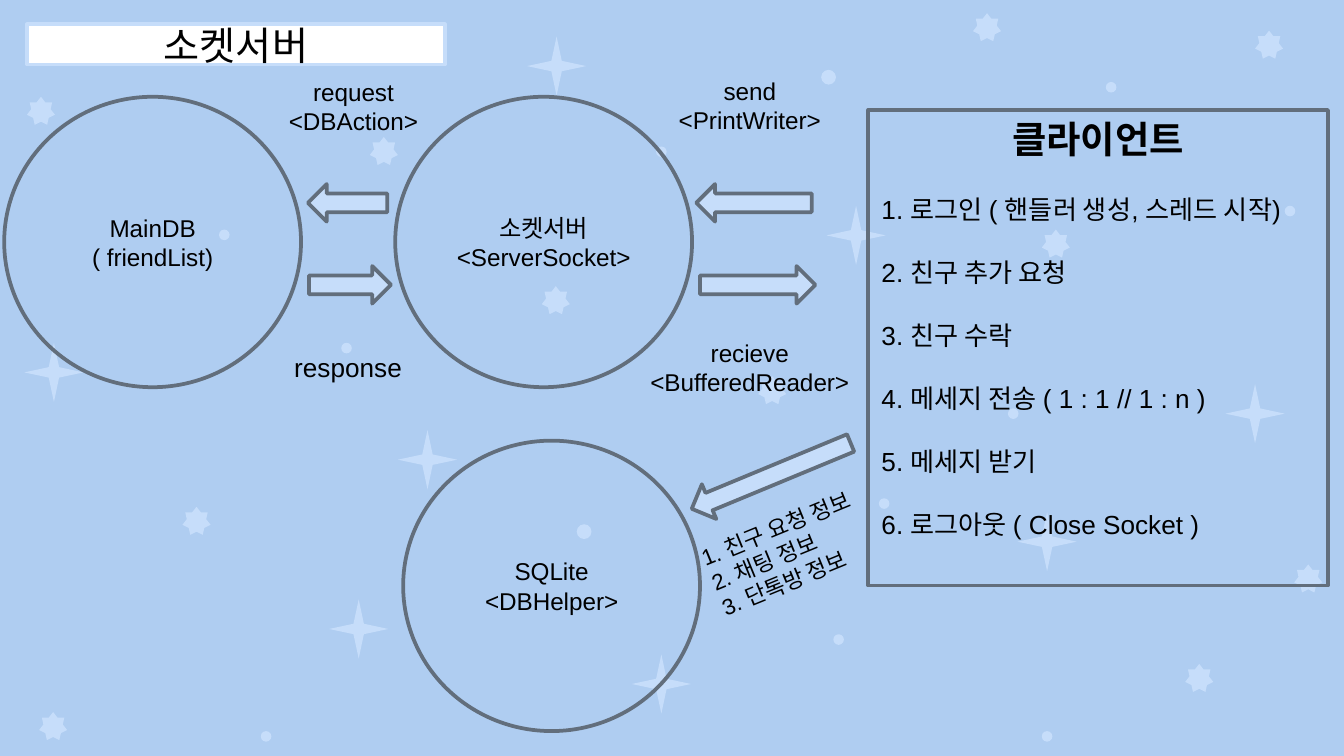
from pptx import Presentation
from pptx.dml.color import RGBColor
from pptx.enum.shapes import MSO_SHAPE as Shape
from pptx.enum.text import MSO_ANCHOR as Anchor, MSO_AUTO_SIZE as AutoSize, PP_ALIGN as Align
from pptx.util import Cm, Pt

COLORS = {"sky": "AFCDF1", "pale": "C6DDFA", "slate": "626E7C", "ink": "000000", "white": "FFFFFF"}
FONT = "Arial"
CIRCLE_SIZE = (5.61, 5.49)
LABEL_SIZE = (5.38, 1.55)
ARROW_HEIGHT = 0.71

DECORATIONS = [
    (Shape.STAR_7_POINT, 0.53, [
        (6.99, 2.59), (0.51, 1.83), (3.45, 9.58), (24.46, 10.67), (0.74, 13.46), (10.24, 5.41),
        (18.39, 0.25), (19.69, 4.34), (14.33, 7.11), (23.72, 0.58), (22.4, 12.55)]),
    (Shape.STAR_4_POINT, 1.12, [
        (9.96, 0.69), (19.23, 9.68), (6.22, 11.33), (0.46, 6.48),
        (23.16, 7.26), (15.62, 3.89), (11.94, 12.37), (7.52, 8.13)]),
    (Shape.OVAL, 0.2, [
        (19.69, 13.82), (4.93, 13.82), (12.4, 2.77), (4.14, 4.34), (15.75, 11.99),
        (20.9, 1.55), (19.05, 7.72), (24.28, 3.89), (6.45, 6.48), (16.61, 9.42)]),
    (Shape.OVAL, 0.28, [(15.52, 1.32), (10.9, 9.91)]),
]
CIRCLES = [
    (7.47, 1.83, ["소켓서버", "<ServerSocket>"]),
    (0.08, 1.83, ["MainDB", "( friendList)"]),
    (7.62, 8.33, ["SQLite", "<DBHelper>"]),
]
ARROWS = [
    (Shape.RIGHT_ARROW, 5.84, 5.03, 1.55, 0),
    (Shape.RIGHT_ARROW, 13.23, 5.03, 2.18, 0),
    (Shape.LEFT_ARROW, 5.82, 3.48, 1.5, 0),
    (Shape.LEFT_ARROW, 13.16, 3.48, 2.18, 0),
    (Shape.LEFT_ARROW, 12.95, 8.64, 3.25, 337.5),
]
LABELS = [
    (3.99, 1.24, ["request", "<DBAction>"], {}),
    (11.48, 1.22, ["send", "<PrintWriter>"], {}),
    (3.89, 6.17, ["response"], {"size": 14}),
    (11.48, 6.17, ["recieve", "<BufferedReader>"], {}),
]
STORED_DATA = ["1. 친구 요청 정보", "2. 채팅 정보", "3. 단톡방 정보"]
CLIENT_STEPS = [
    "1. 로그인 ( 핸들러 생성, 스레드 시작)",
    "2. 친구 추가 요청",
    "3. 친구 수락",
    "4. 메세지 전송 ( 1 : 1 // 1 : n )",
    "5. 메세지 받기",
    "6. 로그아웃 ( Close Socket )",
]


def color(name):
    return RGBColor.from_string(COLORS[name])


def write_text(frame, lines, size=13, bold=False, align=Align.CENTER,
               anchor=Anchor.MIDDLE, space_before=0, append=False):
    frame.word_wrap = True
    frame.auto_size = AutoSize.NONE
    frame.vertical_anchor = anchor
    for index, line in enumerate(lines):
        paragraph = frame.add_paragraph() if index or append else frame.paragraphs[0]
        paragraph.alignment = align
        paragraph.space_before = Pt(space_before)
        run = paragraph.add_run()
        run.text = line
        run.font.name = FONT
        run.font.size = Pt(size)
        run.font.bold = bold
        run.font.color.rgb = color("ink")


def paint(shape, fill=None, line=None):
    if fill:
        shape.fill.solid()
        shape.fill.fore_color.rgb = color(fill)
    else:
        shape.fill.background()
    if line:
        shape.line.color.rgb = color(line)
        shape.line.width = Pt(2)
    else:
        shape.line.fill.background()


def add_shape(slide, kind, left, top, width, height, fill=None, line=None):
    shape = slide.shapes.add_shape(kind, Cm(left), Cm(top), Cm(width), Cm(height))
    shape.shadow.inherit = False
    paint(shape, fill, line)
    return shape


def add_label(slide, left, top, lines, rotation=0, **text_format):
    width, height = LABEL_SIZE
    label = slide.shapes.add_textbox(Cm(left), Cm(top), Cm(width), Cm(height))
    label.rotation = rotation
    write_text(label.text_frame, lines, **text_format)


def add_title(slide, text):
    title = slide.shapes.title
    title.left, title.top, title.width, title.height = Cm(0.51), Cm(0.46), Cm(7.9), Cm(0.76)
    paint(title, "white", "pale")
    write_text(title.text_frame, [text], size=21)


def add_client(slide):
    client = add_shape(slide, Shape.RECTANGLE, 16.41, 2.08, 8.69, 8.99, line="slate")
    write_text(client.text_frame, ["클라이언트"], size=20, bold=True, anchor=Anchor.TOP)
    write_text(client.text_frame, CLIENT_STEPS, size=14, align=Align.LEFT,
               anchor=Anchor.TOP, space_before=17, append=True)


def main():
    presentation = Presentation()
    presentation.slide_width, presentation.slide_height = Cm(25.4), Cm(14.29)
    slide = presentation.slides.add_slide(presentation.slide_layouts[5])
    slide.background.fill.solid()
    slide.background.fill.fore_color.rgb = color("sky")

    for kind, size, places in DECORATIONS:
        for left, top in places:
            add_shape(slide, kind, left, top, size, size, fill="pale")
    add_title(slide, "소켓서버")
    add_client(slide)
    for left, top, lines in CIRCLES:
        circle = add_shape(slide, Shape.OVAL, left, top, *CIRCLE_SIZE, line="slate")
        write_text(circle.text_frame, lines)
    for kind, left, top, width, rotation in ARROWS:
        arrow = add_shape(slide, kind, left, top, width, ARROW_HEIGHT, fill="pale", line="slate")
        arrow.rotation = rotation
    for left, top, lines, text_format in LABELS:
        add_label(slide, left, top, lines, **text_format)
    add_label(slide, 13.03, 9.32, STORED_DATA, rotation=337.6, size=12, align=Align.LEFT)

    presentation.save("out.pptx")


if __name__ == "__main__":
    main()
